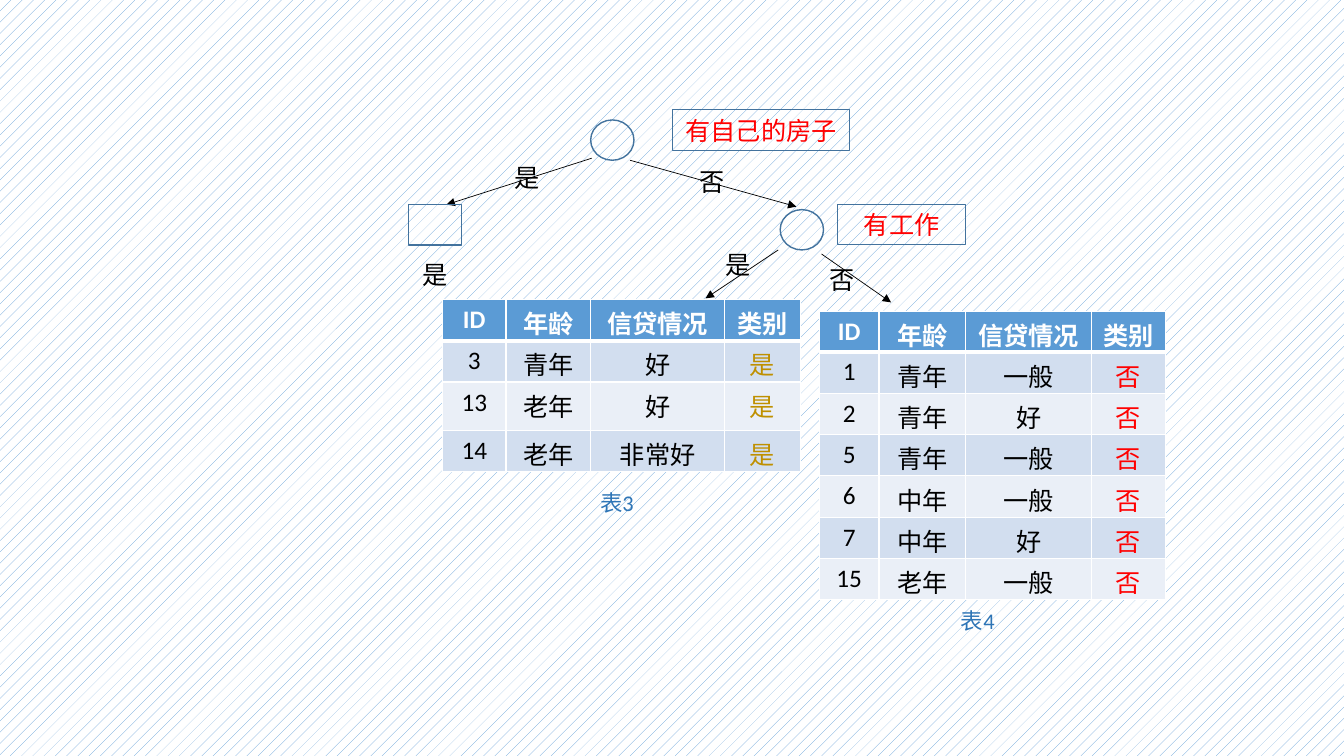
from lxml import etree
from pptx import Presentation
from pptx.dml.color import RGBColor
from pptx.enum.dml import MSO_PATTERN
from pptx.enum.shapes import MSO_CONNECTOR, MSO_SHAPE
from pptx.enum.text import MSO_AUTO_SIZE, PP_ALIGN
from pptx.oxml.ns import qn
from pptx.util import Inches, Pt

CELL = Inches(0.1)
COLUMNS, ROWS = 133.33, 75
OVAL, RECTANGLE = MSO_SHAPE.OVAL, MSO_SHAPE.RECTANGLE
STRAIGHT = MSO_CONNECTOR.STRAIGHT
LEFT, CENTER = PP_ALIGN.LEFT, PP_ALIGN.CENTER
GROW = MSO_AUTO_SIZE.SHAPE_TO_FIT_TEXT
DOTTED = MSO_PATTERN.PERCENT_10

FONT = "Calibri"
BLACK, WHITE, RED, GOLD = "000000", "FFFFFF", "FF0000", "BF9000"
ACCENT, OUTLINE, CAPTION = "5B9BD5", "43739E", "2E75B6"
BANDS = ("D2DEEF", "EAEFF7")
NODE_HEIGHT = 4
HEADINGS = ("ID", "年龄", "信贷情况", "类别")

NODES = [
    (RECTANGLE, 40.5, 20.3, 5.3),
    (OVAL, 77.4, 20.8, 4.3),
    (OVAL, 58.6, 11.9, 4.3),
]
BRANCHES = [
    (58.7, 15.7, 44.3, 20.3),
    (62.5, 15.9, 79, 20.5),
    (77.2, 24.8, 70, 29.6),
    (81.5, 25.2, 88.4, 30),
]
QUESTIONS = [("有自己的房子", 66.7, 10.9, 17.6), ("有工作", 83.1, 20.3, 12.7)]
ANSWERS = [
    ("是", 50.1, 15.6),
    ("否", 68.4, 16),
    ("是", 40.9, 25.2),
    ("是", 71, 24.2),
    ("否", 81.3, 25.7),
]
WORKING = [("3", "青年", "好", "是"), ("13", "老年", "好", "是"), ("14", "老年", "非常好", "是")]
NOT_WORKING = [
    ("1", "青年", "一般", "否"),
    ("2", "青年", "好", "否"),
    ("5", "青年", "一般", "否"),
    ("6", "中年", "一般", "否"),
    ("7", "中年", "好", "否"),
    ("15", "老年", "一般", "否"),
]


def grid(*lengths):
    return [round(length * CELL) for length in lengths]


def color(value):
    return RGBColor.from_string(value)


def write(frame, text, tint, size=18, align=CENTER, bold=False):
    frame.text = text
    para = frame.paragraphs[0]
    para.alignment = align
    para.font.name = FONT
    para.font.size = Pt(size)
    para.font.bold = bold
    para.font.color.rgb = color(tint)


def add_node(page, kind, left, top, width, weight=1):
    node = page.shapes.add_shape(kind, *grid(left, top, width, NODE_HEIGHT))
    node.shadow.inherit = False
    node.fill.background()
    node.line.color.rgb = color(OUTLINE)
    node.line.width = Pt(weight)
    return node


def add_question(page, text, left, top, width):
    frame = add_node(page, RECTANGLE, left, top, width, 0.75).text_frame
    frame.word_wrap = True
    frame.auto_size = GROW
    write(frame, text, RED)


def add_branch(page, *ends):
    branch = page.shapes.add_connector(STRAIGHT, *grid(*ends))
    branch.line.color.rgb = color(BLACK)
    branch.line.width = Pt(0.5)
    etree.SubElement(branch.line._get_or_add_ln(), qn("a:tailEnd"), type="triangle")
    etree.SubElement(branch._element.spPr, qn("a:effectLst"))


def add_label(page, text, left, top, width=6.1, height=4, tint=BLACK, size=18, align=LEFT):
    frame = page.shapes.add_textbox(*grid(left, top, width, height)).text_frame
    frame.word_wrap = True
    frame.auto_size = GROW
    write(frame, text, tint, size, align)


def add_header_borders(cell):
    properties = cell._tc.get_or_add_tcPr()
    for side, weight in (("L", 1), ("R", 1), ("T", 1), ("B", 3)):
        border = etree.SubElement(properties, qn(f"a:ln{side}"), w=str(Pt(weight)))
        paint = etree.SubElement(border, qn("a:solidFill"))
        etree.SubElement(paint, qn("a:srgbClr"), val=WHITE)


def add_records(page, records, left, top, widths, heights, class_tint):
    rows = [HEADINGS, *records]
    place = grid(left, top, sum(widths), sum(heights))
    table = page.shapes.add_table(len(rows), len(widths), *place).table
    for column, width in zip(table.columns, grid(*widths)):
        column.width = width
    for row, height in zip(table.rows, grid(*heights)):
        row.height = height
    for r, values in enumerate(rows):
        for c, text in enumerate(values):
            cell = table.cell(r, c)
            header = r == 0
            if header:
                add_header_borders(cell)
                tint, band = WHITE, ACCENT
            else:
                tint = class_tint if c == len(values) - 1 else BLACK
                band = BANDS[(r - 1) % 2]
            cell.fill.solid()
            cell.fill.fore_color.rgb = color(band)
            write(cell.text_frame, text, tint, bold=header)


def paint_background(page):
    fill = page.background.fill
    fill.patterned()
    fill.pattern = DOTTED
    fill.fore_color.rgb = color(ACCENT)
    fill.back_color.rgb = color(WHITE)


def main():
    deck = Presentation()
    deck.slide_width, deck.slide_height = grid(COLUMNS, ROWS)
    page = deck.slides.add_slide(deck.slide_layouts[6])
    paint_background(page)
    for branch in BRANCHES:
        add_branch(page, *branch)
    for node in NODES:
        add_node(page, *node)
    for question in QUESTIONS:
        add_question(page, *question)
    for answer in ANSWERS:
        add_label(page, *answer)
    add_records(page, WORKING, 43.9, 29.7, (6.3, 8.4, 13.3, 7.5), (4.1, 4.1, 4.8, 4.1), GOLD)
    add_records(page, NOT_WORKING, 81.3, 30.9, (5.9, 8.6, 12.5, 7.3), (2.2, *[4.1] * 6), RED)
    for text, left, top in (("表3", 55.7, 48), ("表4", 91.5, 59.7)):
        add_label(page, text, left, top, 11, 3.7, CAPTION, 16, CENTER)
    deck.save("out.pptx")


main()
